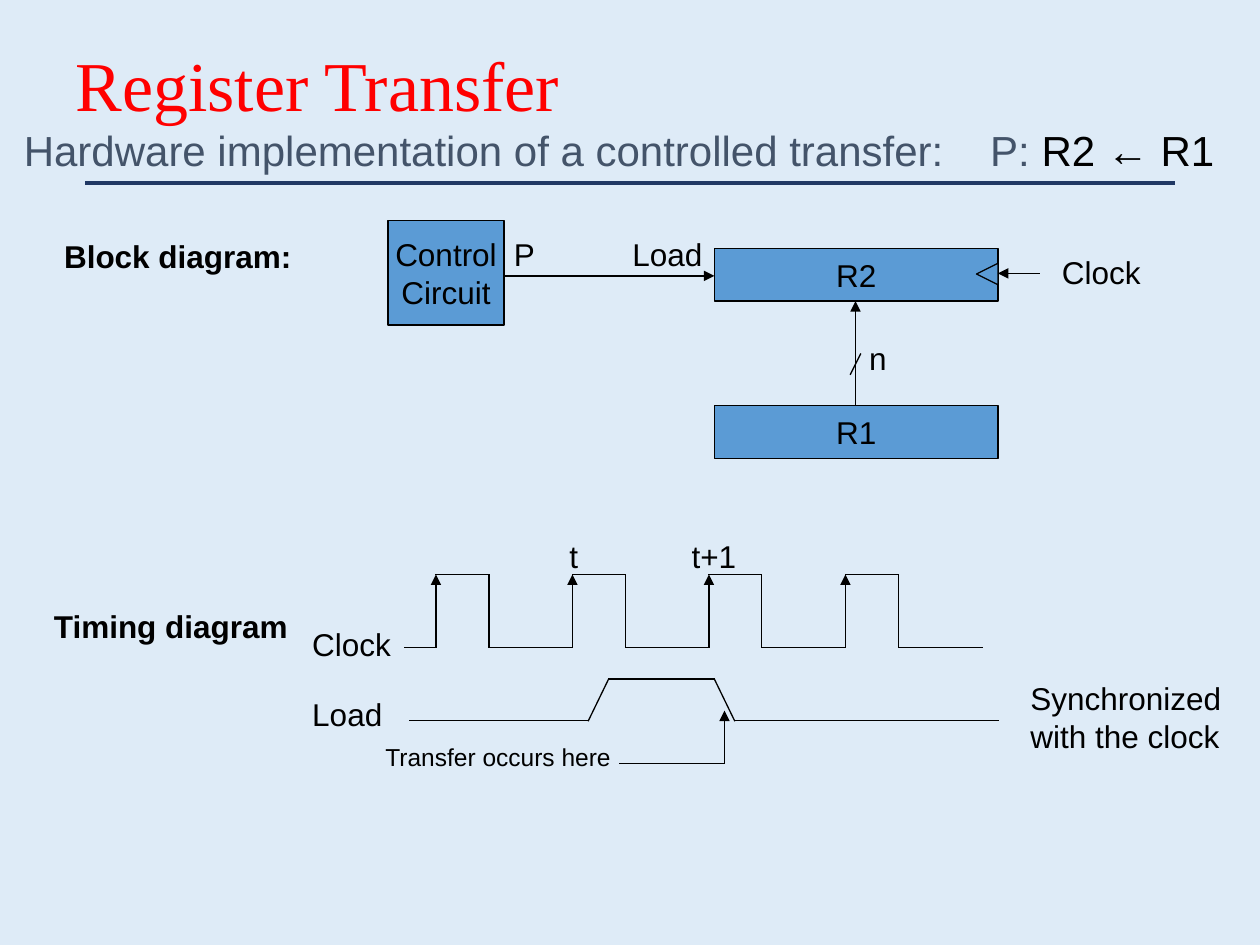
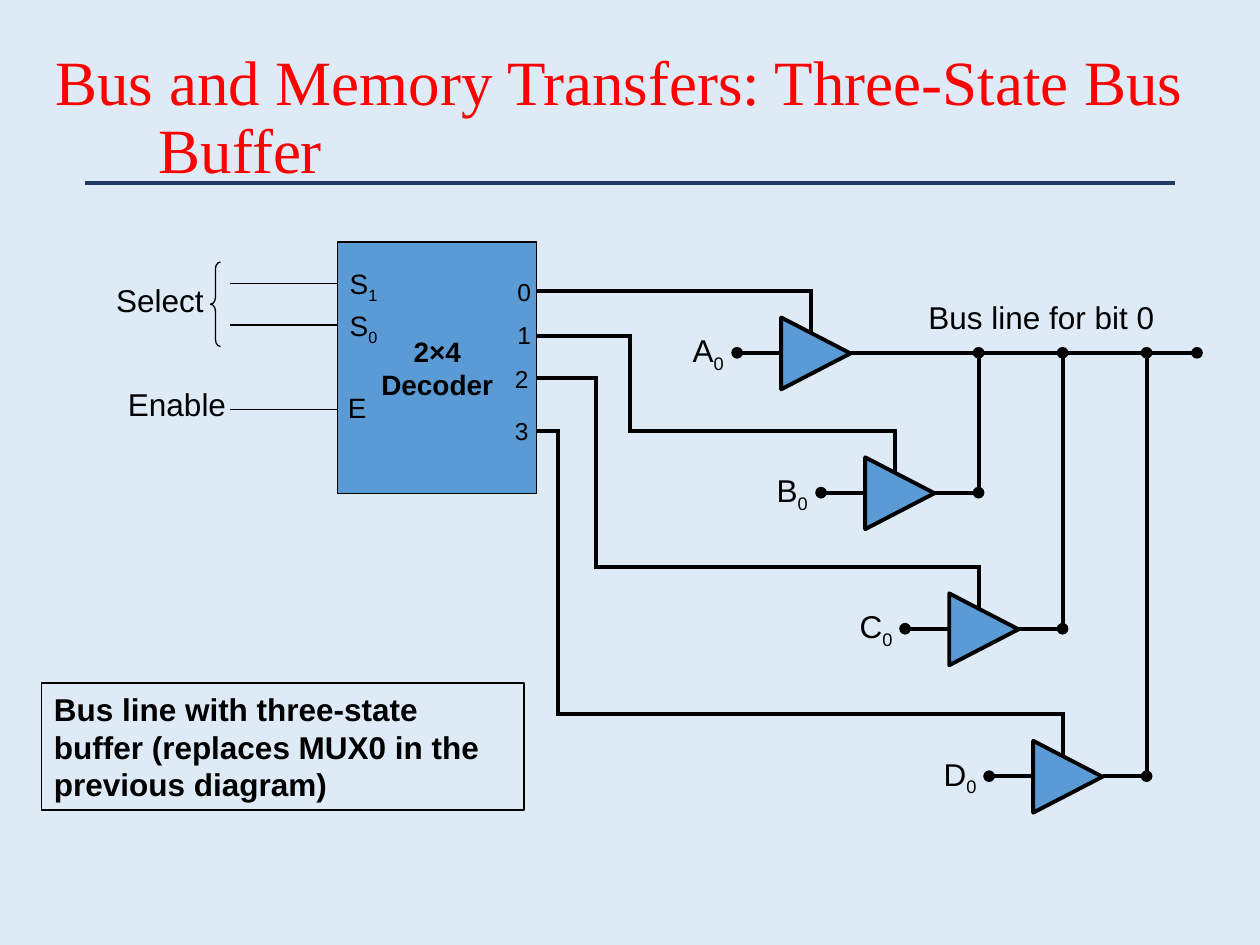
from itertools import pairwise

from lxml.etree import SubElement
from pptx import Presentation
from pptx.dml.color import RGBColor
from pptx.enum.shapes import MSO_CONNECTOR, MSO_SHAPE as SHAPE
from pptx.enum.text import MSO_ANCHOR as ANCHOR, MSO_AUTO_SIZE, PP_ALIGN as ALIGN
from pptx.oxml.ns import qn
from pptx.util import Inches, Pt

COLORS = {
    "background": "DEEBF7",
    "rule": "203864",
    "title": "FF0000",
    "block": "5B9BD5",
    "ink": "000000",
    "muted": "44546A",
}
TITLE_FONT = "Times New Roman"
BODY_FONT = "Arial"
THIN, THICK = 0.75, 2.25


def rgb(name):
    return RGBColor.from_string(COLORS[name])


def add_line(slide, start, end, width=THIN, color="ink", head=None, tail=None):
    connector = slide.shapes.add_connector(
        MSO_CONNECTOR.STRAIGHT, *map(Inches, (*start, *end)))
    connector.line.color.rgb = rgb(color)
    connector.line.width = Pt(width)
    outline = connector.line._get_or_add_ln()
    if not (head or tail):
        outline.set("cap", "sq")
    for tag, kind in (("a:headEnd", head), ("a:tailEnd", tail)):
        if kind:
            SubElement(outline, qn(tag), type=kind)
    SubElement(connector._element.spPr, qn("a:effectLst"))


def add_path(slide, points, width=THIN):
    for start, end in pairwise(points):
        add_line(slide, start, end, width)


def write(paragraph, text, size, color="ink", bold=False, font=BODY_FONT, sub=False):
    run = paragraph.add_run()
    run.text = text
    run.font.name = font
    run.font.size = Pt(size)
    run.font.bold = bold
    run.font.color.rgb = rgb(color)
    if sub:
        run._r.get_or_add_rPr().set("baseline", "-25000")


def add_label(slide, box, text, sub="", size=18, align=ALIGN.LEFT, bold=False):
    frame = slide.shapes.add_textbox(*map(Inches, box)).text_frame
    frame.word_wrap = True
    paragraph = frame.paragraphs[0]
    paragraph.alignment = align
    write(paragraph, text, size, bold=bold)
    if sub:
        write(paragraph, sub, size, bold=bold, sub=True)


def add_block(slide, kind, box, text="", size=18, bold=False, align=ALIGN.CENTER,
              inset=0.1, fill="block", width=THIN, rotation=0):
    block = slide.shapes.add_shape(kind, *map(Inches, box))
    block.shadow.inherit = False
    block.rotation = rotation
    if fill:
        block.fill.solid()
        block.fill.fore_color.rgb = rgb(fill)
    else:
        block.fill.background()
    block.line.color.rgb = rgb("ink")
    block.line.width = Pt(width)
    if text:
        frame = block.text_frame
        frame.word_wrap = True
        frame.vertical_anchor = ANCHOR.MIDDLE
        frame.margin_left = frame.margin_right = Inches(inset)
        frame.paragraphs[0].alignment = align
        write(frame.paragraphs[0], text, size, bold=bold)
    return block


def add_titled_slide(prs, text, box, size, hanging=0):
    slide = prs.slides.add_slide(prs.slide_layouts[5])
    title = slide.shapes.title
    title.left, title.top, title.width, title.height = map(Inches, box)
    frame = title.text_frame
    frame.auto_size = MSO_AUTO_SIZE.NONE
    frame.vertical_anchor = ANCHOR.MIDDLE
    paragraph = frame.paragraphs[0]
    paragraph.alignment = ALIGN.LEFT
    paragraph.line_spacing = 0.9
    if hanging:
        properties = paragraph._p.get_or_add_pPr()
        properties.set("marL", str(Inches(hanging)))
        properties.set("indent", str(-Inches(hanging)))
    write(paragraph, text, size, "title", font=TITLE_FONT)
    add_line(slide, (0.69, 1.45), (9.31, 1.45), THICK, "rule")
    return slide


def add_transfer_statement(slide):
    frame = slide.shapes.add_textbox(
        *map(Inches, (0.09, 0.94, 9.65, 0.5))).text_frame
    frame.word_wrap = False
    paragraph = frame.paragraphs[0]
    stops = SubElement(paragraph._p.get_or_add_pPr(), qn("a:tabLst"))
    SubElement(stops, qn("a:tab"), pos=str(Inches(7.67)), algn="l")
    write(paragraph, "Hardware implementation of a controlled transfer:\tP: ", 24, "muted")
    write(paragraph, "R2 ← R1", 24)


def add_block_diagram(slide):
    add_label(slide, (0.41, 1.83, 2.01, 0.4), "Block diagram:", bold=True)
    for register, top in (("R2", 1.97), ("R1", 3.22)):
        add_block(slide, SHAPE.RECTANGLE, (5.67, top, 2.25, 0.42), register)
    add_block(slide, SHAPE.RECTANGLE, (3.08, 1.75, 0.92, 0.83), "Control Circuit", inset=0)
    add_block(slide, SHAPE.FLOWCHART_MERGE, (7.75, 2.09, 0.17, 0.17), rotation=90)
    for start, end in (((6.79, 3.22), (6.79, 2.39)),
                       ((8.25, 2.17), (7.92, 2.17)),
                       ((4, 2.19), (5.67, 2.19))):
        add_line(slide, start, end, tail="triangle")
    add_line(slide, (6.83, 2.81), (6.75, 2.97))
    for text, left, top, width in (("P", 3.98, 1.82, 0.58), ("Load", 4.92, 1.82, 0.83),
                                   ("Clock", 8.33, 1.96, 0.92), ("n", 6.8, 2.64, 0.42)):
        add_label(slide, (left, top, width, 0.4), text)


def add_timing_diagram(slide):
    add_label(slide, (0.33, 4.77, 2.06, 0.4), "Timing diagram", bold=True)
    high, low = 4.56, 5.14
    first_edge, period, pulse = 3.46, 13 / 12, 0.42
    add_line(slide, (3.21, low), (first_edge, low))
    for cycle in range(4):
        rise = first_edge + cycle * period
        fall = rise + pulse
        add_line(slide, (rise, high), (rise, low), head="triangle")
        add_path(slide, [(rise, high), (fall, high), (fall, low), (rise + period, low)])
    add_path(slide, [(3.25, 5.72), (4.67, 5.72), (4.83, 5.39),
                     (5.67, 5.39), (5.83, 5.72), (7.92, 5.72)])
    add_line(slide, (5.75, 5.64), (5.75, 6.06), head="triangle")
    add_line(slide, (5.75, 6.06), (4.92, 6.06))
    for text, left, top, width in (("t", 4.42, 4.21, 0.33), ("t+1", 5.39, 4.21, 0.75),
                                   ("Clock", 2.38, 4.91, 1), ("Load", 2.38, 5.47, 1)):
        add_label(slide, (left, top, width, 0.4), text)
    add_label(slide, (2.96, 5.84, 2.67, 0.33), "Transfer occurs here", size=14)
    add_label(slide, (8.08, 5.34, 1.75, 0.7), "Synchronized with the clock")


def add_decoder(slide):
    add_block(slide, SHAPE.RECTANGLE, (2.68, 1.92, 1.58, 2), "2×4 Decoder",
              size=16, bold=True, inset=0.25)
    for y in (2.25, 2.58, 3.25):
        add_line(slide, (1.83, y), (2.67, y))
    brace = add_block(slide, SHAPE.LEFT_BRACE, (1.67, 2.08, 0.08, 0.67), fill=None)
    brace.adjustments[0] = 0.667
    for text, box in (("Select", (0.77, 2.18, 1, 0.4)), ("Enable", (0.82, 3.01, 1.17, 0.4))):
        add_label(slide, box, text, align=ALIGN.CENTER)
    for text, sub, left, top in (("S", "1", 2.55, 2.07), ("S", "0", 2.55, 2.4),
                                 ("E", "", 2.5, 3.05)):
        add_label(slide, (left, top, 0.67, 0.37), text, sub, 16, ALIGN.CENTER)
    for text, left, top in (("0", 3.95, 2.15), ("1", 3.95, 2.49),
                            ("2", 3.93, 2.84), ("3", 3.93, 3.25)):
        add_label(slide, (left, top, 0.42, 0.33), text, size=14, align=ALIGN.CENTER)


def add_buffer(slide, name, left, y, decoder_y, lane, bus_y):
    control_x, control_y = left + 0.25, y - 0.49
    detour = [(lane, decoder_y), (lane, control_y)] if lane else []
    add_path(slide, [(4.26, decoder_y), *detour, (control_x, control_y),
                     (control_x, y - 0.16)], THICK)
    add_block(slide, SHAPE.ISOSCELES_TRIANGLE, (left, y - 0.27, 0.57, 0.55),
              width=THICK, rotation=90)
    add_line(slide, (left - 0.34, y), (left + 0.01, y), THICK, head="oval")
    on_bus = y == bus_y
    output_x = 9.5 if on_bus else left + 0.91
    add_line(slide, (left + 0.56, y), (output_x, y), THICK, tail="oval")
    if not on_bus:
        add_line(slide, (output_x, y), (output_x, bus_y), THICK, tail="oval")
    add_label(slide, (left - 0.86, y - 0.22, 0.58, 0.4), name, "0", align=ALIGN.CENTER)


def add_bus(slide):
    bus_y = 2.8
    buffers = (("A", bus_y, 2.31, None), ("B", 3.91, 2.67, 5),
               ("C", 4.99, 3, 4.73), ("D", 6.16, 3.42, 4.43))
    for index, (name, y, decoder_y, lane) in enumerate(buffers):
        add_buffer(slide, name, 6.19 + index * 2 / 3, y, decoder_y, lane, bus_y)
    add_label(slide, (6.64, 2.32, 3.25, 0.4), "Bus line for bit 0", align=ALIGN.CENTER)


def main():
    prs = Presentation()
    prs.slide_width, prs.slide_height = Inches(10), Inches(7.5)
    backdrop = prs.slide_master.background.fill
    backdrop.solid()
    backdrop.fore_color.rgb = rgb("background")

    transfer = add_titled_slide(prs, "Register Transfer", (0.5, 0.08, 9, 1.25), 40)
    add_transfer_statement(transfer)
    add_block_diagram(transfer)
    add_timing_diagram(transfer)

    bus = add_titled_slide(prs, "Bus and Memory Transfers: Three-State Bus Buffer",
                           (0.34, 0.37, 9.33, 1.15), 36, hanging=0.82)
    add_bus(bus)
    add_decoder(bus)
    add_block(bus, SHAPE.RECTANGLE, (0.33, 5.42, 3.83, 1.01),
              "Bus line with three-state buffer (replaces MUX0 in the previous diagram)",
              bold=True, align=ALIGN.LEFT, fill=None)

    prs.save("out.pptx")


if __name__ == "__main__":
    main()
